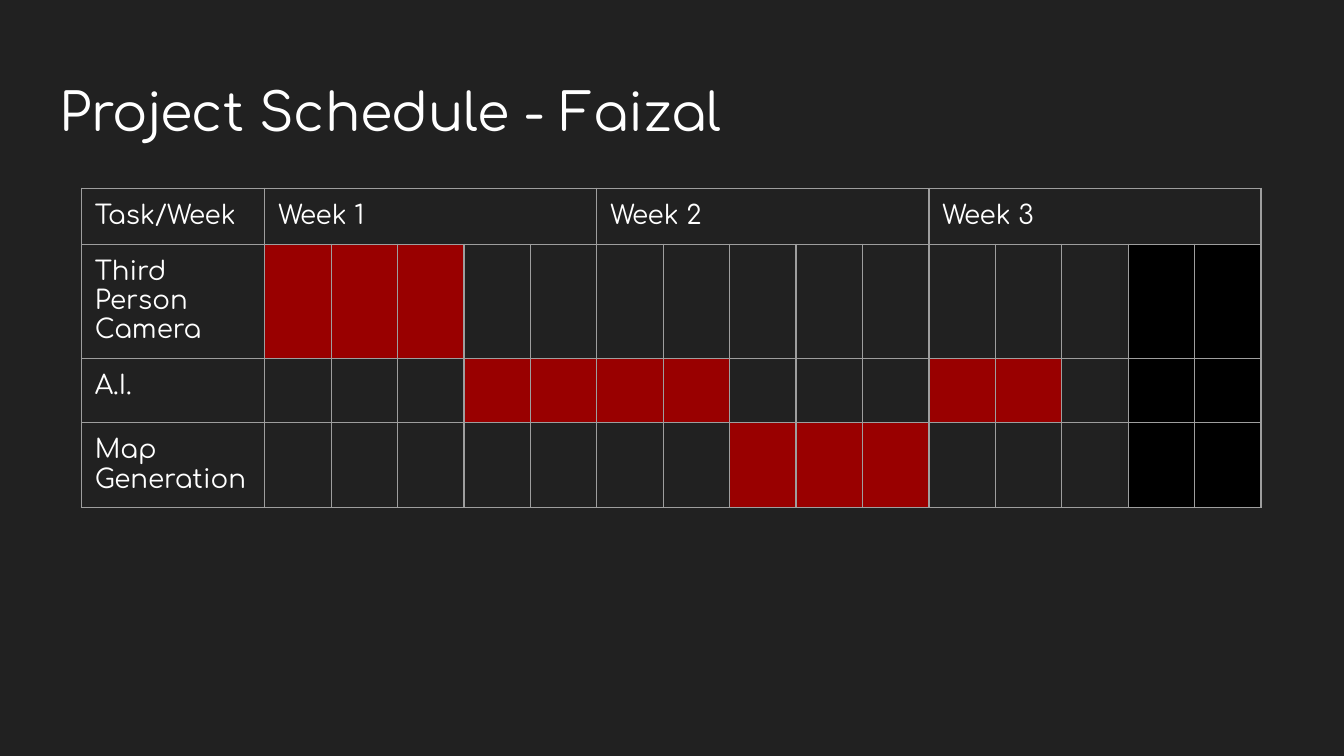
from lxml.etree import SubElement
from pptx import Presentation
from pptx.dml.color import RGBColor
from pptx.enum.text import MSO_ANCHOR, MSO_AUTO_SIZE, PP_ALIGN
from pptx.oxml.ns import qn
from pptx.util import Pt

FONT = "Comfortaa"
WHITE, DARK, RED, BLACK, GREY = "FFFFFF", "212121", "990000", "000000", "9E9E9E"
INSET = 7.2
WEEKS, DAYS = 3, 5
TASK_WIDTH, DAY_WIDTH = 98.3, 35.58
ROW_HEIGHTS = [30, 61, 34.3, 45.6]
TASKS = [
    ("Third Person Camera", [1, 2, 3]),
    ("A.I.", [4, 5, 6, 7, 11, 12]),
    ("Map Generation", [8, 9, 10]),
]
CLOSED_DAYS = [14, 15]


def rgb(value):
    return RGBColor.from_string(value)


def write(tf, text, size=14, color=WHITE, font=FONT, align=PP_ALIGN.LEFT):
    p = tf.paragraphs[0]
    p.alignment = align
    r = p.add_run()
    r.text = text
    r.font.size = Pt(size)
    r.font.name = font
    r.font.bold = False
    r.font.color.rgb = rgb(color)


def set_insets(box):
    box.margin_left = box.margin_right = Pt(INSET)
    box.margin_top = box.margin_bottom = Pt(INSET)


def add_title(s, text):
    title = s.shapes.title
    title.left, title.top = Pt(24.5), Pt(35.3)
    title.width, title.height = Pt(671), Pt(45.4)
    tf = title.text_frame
    tf.word_wrap = True
    tf.auto_size = MSO_AUTO_SIZE.NONE
    tf.vertical_anchor = MSO_ANCHOR.TOP
    set_insets(tf)
    write(tf, text, size=28)


def add_borders(cell, color=GREY, width=0.75):
    tc_pr = cell._tc.get_or_add_tcPr()
    for side in ("lnL", "lnR", "lnT", "lnB"):
        ln = SubElement(tc_pr, qn(f"a:{side}"), w=str(Pt(width)))
        fill = SubElement(ln, qn("a:solidFill"))
        SubElement(fill, qn("a:srgbClr"), val=color)


def format_cell(cell):
    set_insets(cell)
    cell.vertical_anchor = MSO_ANCHOR.TOP
    add_borders(cell)
    cell.fill.background()
    SubElement(cell.text_frame.paragraphs[0]._p, qn("a:endParaRPr"), sz="1400")


def fill_cell(cell, color):
    cell.fill.solid()
    cell.fill.fore_color.rgb = rgb(color)


def add_schedule(s):
    days = WEEKS * DAYS
    frame = s.shapes.add_table(
        len(ROW_HEIGHTS), days + 1, Pt(43.6), Pt(100.8),
        Pt(TASK_WIDTH + days * DAY_WIDTH), Pt(sum(ROW_HEIGHTS)))
    table = frame.table
    table.first_row = table.horz_banding = False
    for i, column in enumerate(table.columns):
        column.width = Pt(DAY_WIDTH if i else TASK_WIDTH)
    for row, height in zip(table.rows, ROW_HEIGHTS):
        row.height = Pt(height)
    for cell in table.iter_cells():
        format_cell(cell)

    write(table.cell(0, 0).text_frame, "Task/Week")
    for week in range(WEEKS):
        first = 1 + week * DAYS
        cell = table.cell(0, first)
        cell.merge(table.cell(0, first + DAYS - 1))
        write(cell.text_frame, f"Week {week + 1}")

    for row, (task, work_days) in enumerate(TASKS, 1):
        write(table.cell(row, 0).text_frame, task)
        for day in work_days:
            fill_cell(table.cell(row, day), RED)
        for day in CLOSED_DAYS:
            fill_cell(table.cell(row, day), BLACK)


def main():
    prs = Presentation()
    prs.slide_width, prs.slide_height = Pt(720), Pt(405)
    s = prs.slides.add_slide(prs.slide_layouts[5])
    s.background.fill.solid()
    s.background.fill.fore_color.rgb = rgb(DARK)
    add_title(s, "Project Schedule - Faizal")
    add_schedule(s)
    prs.save("out.pptx")


if __name__ == "__main__":
    main()
